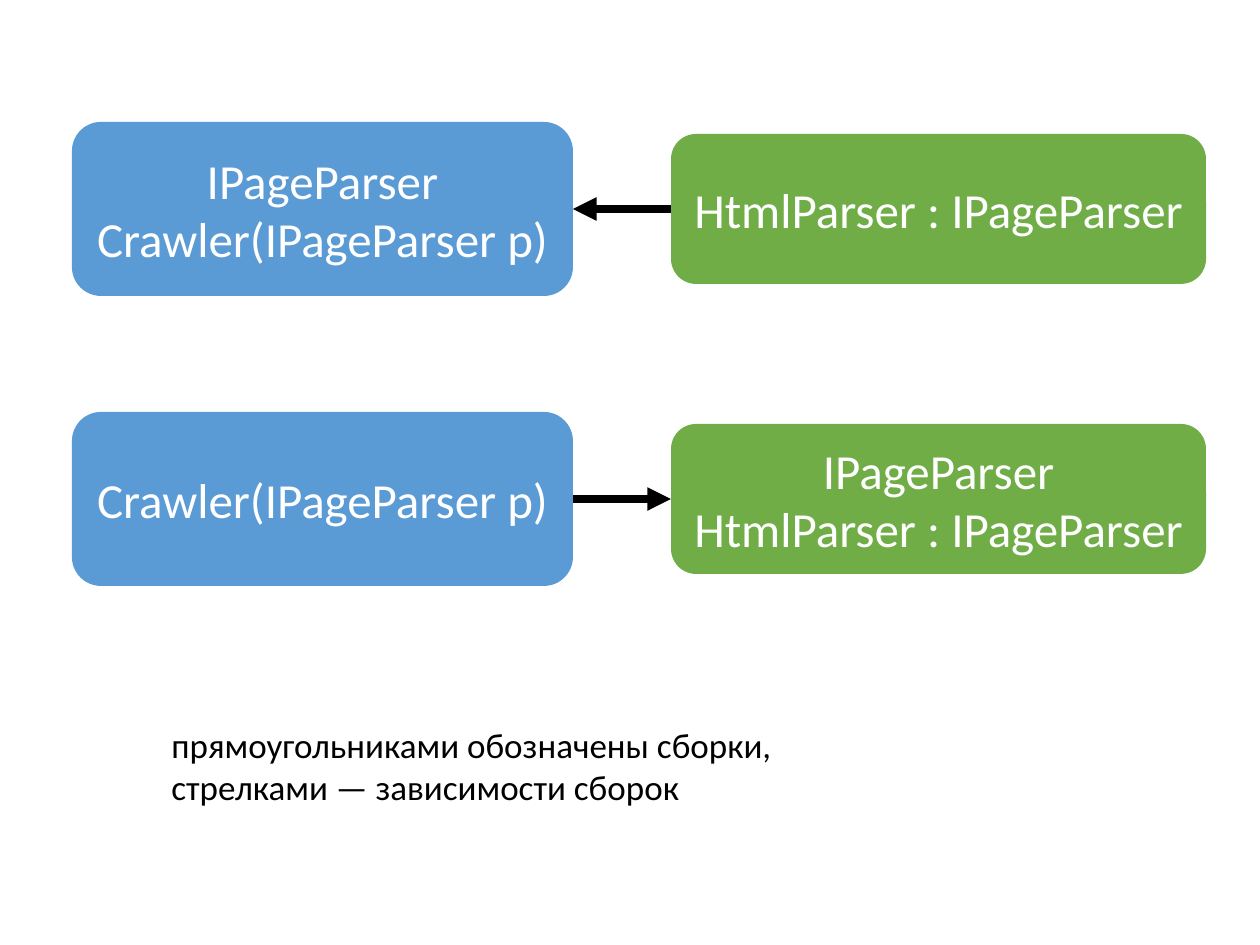
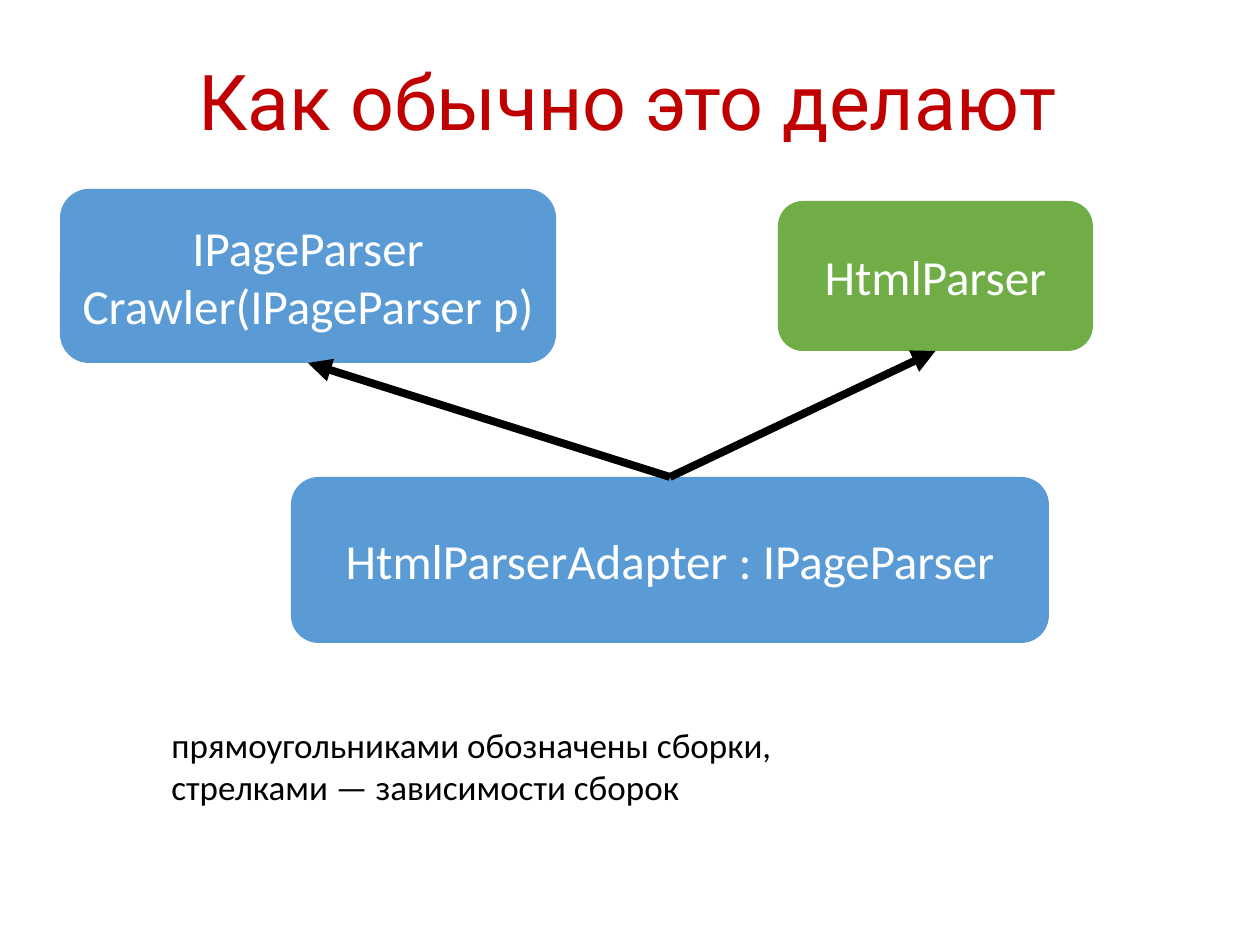
import pptx
import pptx.util
import pptx.dml.color
import pptx.enum.shapes
import pptx.enum.text
import pptx.oxml
import pptx.oxml.ns

PIXEL = 914400 / 126
BLUE, GREEN, RED = "5B9BD5", "70AD47", "C00000"
WHITE, BLACK = "FFFFFF", "000000"
BODY_FONT, TITLE_FONT = "Calibri", "Roboto"
TOP, LEFT, BOTTOM, RIGHT = range(4)
CRAWLER = "Crawler(IPageParser p)"
CAPTION = "прямоугольниками обозначены сборки, \vстрелками — зависимости сборок"
CAPTION_BOX = (159, 717, 637, 97)


def px(*lengths):
    """Turn picture pixels into a list of EMU lengths."""
    return [pptx.util.Emu(round(length * PIXEL)) for length in lengths]


def color(hex_string):
    """Return the colour for a hex string."""
    return pptx.dml.color.RGBColor.from_string(hex_string)


def write(frame, paragraphs, size, ink, font=BODY_FONT, align=None):
    """Write paragraphs run by run, with a line break at each vertical tab."""
    for index, text in enumerate(paragraphs):
        paragraph = frame.add_paragraph() if index else frame.paragraphs[0]
        paragraph.alignment = align
        for number, line in enumerate(text.split("\v")):
            if number:
                paragraph.add_line_break()
            run = paragraph.add_run()
            run.text = line
            run.font.size = pptx.util.Pt(size)
            run.font.name = font
            run.font.color.rgb = color(ink)


def add_assembly(slide, box, fill, *paragraphs):
    """Draw one assembly as a rounded rectangle and return it."""
    assembly = slide.shapes.add_shape(
        pptx.enum.shapes.MSO_SHAPE.ROUNDED_RECTANGLE, *px(*box))
    assembly.shadow.inherit = False
    assembly.fill.solid()
    assembly.fill.fore_color.rgb = color(fill)
    assembly.line.fill.background()
    assembly.text_frame.word_wrap = True
    assembly.text_frame.vertical_anchor = pptx.enum.text.MSO_ANCHOR.MIDDLE
    write(assembly.text_frame, paragraphs, 28, WHITE,
          align=pptx.enum.text.PP_ALIGN.CENTER)
    return assembly


def add_dependency(slide, user, user_side, used, used_side):
    """Draw an arrow from an assembly to the one it depends on."""
    arrow = slide.shapes.add_connector(
        pptx.enum.shapes.MSO_CONNECTOR.STRAIGHT, 0, 0, 0, 0)
    arrow.begin_connect(user, user_side)
    arrow.end_connect(used, used_side)
    arrow.line.color.rgb = color(BLACK)
    arrow.line.width = pptx.util.Pt(4.5)
    head = pptx.oxml.parse_xml(
        f'<a:tailEnd {pptx.oxml.ns.nsdecls("a")} type="triangle"/>')
    arrow.line._get_or_add_ln().append(head)
    effects = pptx.oxml.parse_xml(f'<a:effectLst {pptx.oxml.ns.nsdecls("a")}/>')
    arrow._element.spPr.append(effects)


def add_caption(slide, box):
    """Explain what the rectangles and arrows stand for."""
    caption = slide.shapes.add_textbox(*px(*box)).text_frame
    caption.word_wrap = False
    caption.auto_size = pptx.enum.text.MSO_AUTO_SIZE.SHAPE_TO_FIT_TEXT
    write(caption, [CAPTION], 20, BLACK)


def set_title(slide, box, text):
    """Place and format the title placeholder."""
    title = slide.shapes.title
    title.left, title.top, title.width, title.height = px(*box)
    title.text_frame.vertical_anchor = pptx.enum.text.MSO_ANCHOR.MIDDLE
    write(title.text_frame, [text], 44, RED, TITLE_FONT,
          pptx.enum.text.PP_ALIGN.CENTER)
    title.text_frame.paragraphs[0].line_spacing = 0.9


def add_pair(slide, box, crawler_text, parser_text):
    """Draw a crawler and a parser side by side, centred in the box."""
    left, top, width, height = box
    parser_width, inset = 535, 12
    crawler = add_assembly(slide, (left, top, 501, height), BLUE, *crawler_text)
    parser = add_assembly(
        slide, (left + width - parser_width, top + inset,
                parser_width, height - 2 * inset), GREEN, *parser_text)
    return crawler, parser


def build_direct_slide(deck):
    """Compare the two directions of a direct dependency."""
    slide = deck.slides.add_slide(deck.slide_layouts[6])
    upper, lower = [(72, 122 + row * 290, 1134, 174) for row in range(2)]
    crawler, parser = add_pair(
        slide, upper, ["IPageParser\v" + CRAWLER], ["HtmlParser : IPageParser"])
    add_dependency(slide, parser, LEFT, crawler, RIGHT)
    crawler, parser = add_pair(
        slide, lower, [CRAWLER], ["IPageParser", "HtmlParser : IPageParser"])
    add_dependency(slide, crawler, RIGHT, parser, LEFT)
    add_caption(slide, CAPTION_BOX)


def add_adapter_diagram(slide, box):
    """Draw an adapter that depends on both the crawler and the parser."""
    left, top, width, height = box
    crawler = add_assembly(
        slide, (left, top, 496, 174), BLUE, "IPageParser", CRAWLER)
    parser = add_assembly(
        slide, (left + width - 315, top + 12, 315, 150), GREEN, "HtmlParser")
    adapter = add_assembly(
        slide, (left + 231, top + height - 166, 758, 166), BLUE,
        "HtmlParserAdapter : IPageParser")
    for used in (crawler, parser):
        add_dependency(slide, adapter, TOP, used, BOTTOM)


def build_adapter_slide(deck):
    """Show the usual solution with an adapter."""
    slide = deck.slides.add_slide(deck.slide_layouts[5])
    add_adapter_diagram(slide, (60, 189, 1033, 454))
    add_caption(slide, CAPTION_BOX)
    set_title(slide, (48, 14, 1160, 183), "Как обычно это делают")


deck = pptx.Presentation()
deck.slide_width, deck.slide_height = px(1260, 945)
build_direct_slide(deck)
build_adapter_slide(deck)
deck.save("out.pptx")
